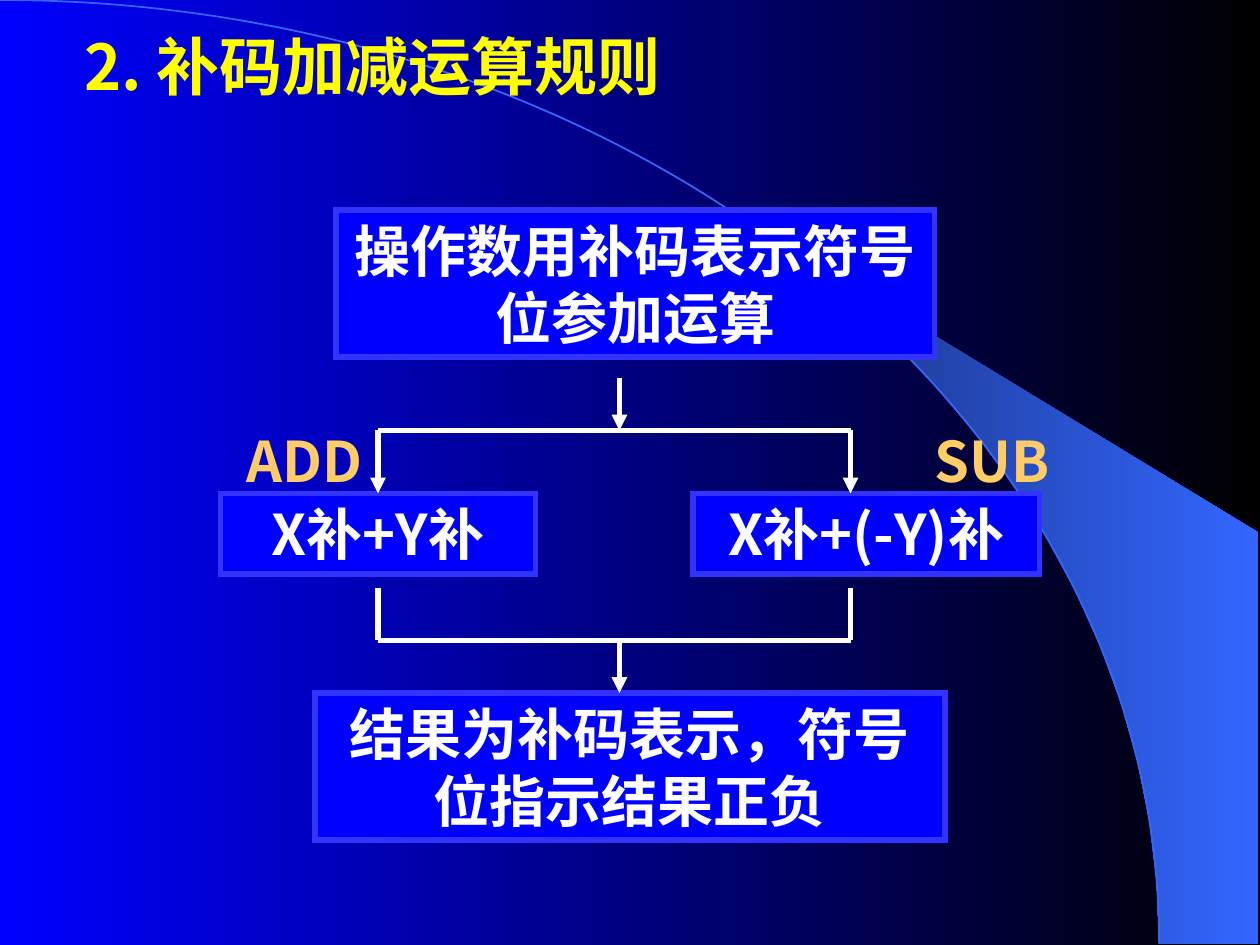
from pptx import Presentation
from pptx.dml.color import RGBColor
from pptx.enum.shapes import MSO_CONNECTOR as Connector, MSO_SHAPE as Shape
from pptx.enum.text import MSO_ANCHOR as Anchor, MSO_AUTO_SIZE as AutoSize, PP_ALIGN as Align
from pptx.oxml.ns import qn
from pptx.util import Pt
from lxml.etree import SubElement

FONT = "Noto Sans CJK SC"
WIDTH, HEIGHT = 720, 540


def color(value):
    return RGBColor.from_string(value)


def set_gradient(fill, start, end):
    fill.gradient()
    fill.gradient_angle = 0
    for stop, value in zip(fill.gradient_stops, (start, end)):
        stop.color.rgb = color(value)


def write_text(shape, text, size, text_color):
    frame = shape.text_frame
    frame.word_wrap = True
    frame.auto_size = AutoSize.SHAPE_TO_FIT_TEXT
    frame.vertical_anchor = Anchor.TOP
    paragraph = frame.paragraphs[0]
    paragraph.text = text
    paragraph.alignment = Align.CENTER
    font = paragraph.font
    font.name, font.size, font.bold = FONT, Pt(size), True
    font.color.rgb = color(text_color)
    # East Asian typeface follows the Latin one
    SubElement(paragraph._p.pPr.find(qn("a:defRPr")), qn("a:ea"), typeface=FONT)


def add_label(slide, box, text, size, text_color):
    label = slide.shapes.add_textbox(*map(Pt, box))
    write_text(label, text, size, text_color)


def add_step(slide, box, text):
    step = slide.shapes.add_shape(Shape.RECTANGLE, *map(Pt, box))
    step.shadow.inherit = False
    step.fill.solid()
    step.fill.fore_color.rgb = color("0000FF")
    step.line.color.rgb = color("3333FF")
    step.line.width = Pt(3)
    # Square corners
    SubElement(step._element.spPr.find(qn("a:ln")), qn("a:miter"), lim="800000")
    write_text(step, text, 32, "FFFFFF")


def add_line(slide, start, end, arrow=False):
    line = slide.shapes.add_connector(Connector.STRAIGHT, *map(Pt, start + end))
    line.line.color.rgb = color("FFFFFF")
    line.line.width = Pt(3)
    properties = line._element.spPr
    if arrow:
        SubElement(properties.find(qn("a:ln")), qn("a:tailEnd"), type="triangle")
    SubElement(properties, qn("a:effectLst"))


def add_outline(slide, points, close):
    points = [(Pt(x), Pt(y)) for x, y in points]
    builder = slide.shapes.build_freeform(*points[0])
    builder.add_line_segments(points[1:], close=close)
    outline = builder.convert_to_shape()
    outline.shadow.inherit = False
    return outline


def add_backdrop(slide, box):
    left, top, width, height = box
    right, bottom = left + width - 0.7, top + height - 0.7
    set_gradient(slide.background.fill, "0000FF", "000000")

    # Cubic curve from the top left corner to the bottom edge
    arc_width, arc_height = 662.4, bottom - top
    controls = [(365.8, 0), (arc_width, 241.2), (arc_width, arc_height)]

    def arc_point(t):
        weights = (3 * t * (1 - t) ** 2, 3 * t**2 * (1 - t), t**3)
        x, y = (sum(w * c for w, c in zip(weights, axis)) for axis in zip(*controls))
        return left + x, top + y

    # Wedge to the right of the arc
    edge = [arc_point(0.44 + 0.04 * step) for step in range(15)]
    wedge = add_outline(slide, edge + [(right, bottom), (right, top + 304.5)], True)
    set_gradient(wedge.fill, "182F76", "3366FF")
    wedge.line.fill.background()

    # Thin arc line: the straight segment becomes a curve
    curve = add_outline(slide, [(left, top), arc_point(1)], False)
    segment = next(curve._element.iter(qn("a:lnTo")))
    segment.tag = qn("a:cubicBezTo")
    segment.remove(segment[0])
    for x, y in controls:
        SubElement(segment, qn("a:pt"), x=str(Pt(x)), y=str(Pt(y)))
    curve.fill.background()
    curve.line.color.rgb = color("3366FF")
    curve.line.width = Pt(1)


def add_flowchart(slide, box):
    left, top, width, height = box
    add_x, sub_x, center_x = left + 102, left + 372, left + 240
    split_y, merge_y = top + 126, top + 246
    branch_y, result_y = top + 162, top + 276

    # Steps
    add_step(slide, (left + 78, top, 342, 84), "操作数用补码表示符号位参加运算")
    add_step(slide, (left + 66, result_y, 360, 84), "结果为补码表示，符号位指示结果正负")
    add_step(slide, (left + 12, branch_y, 180, 46), "X补+Y补")
    add_step(slide, (left + 282, branch_y, 198, 46), "X补+(-Y)补")

    # Split and merge lines
    for y in (split_y, merge_y):
        add_line(slide, (add_x, y), (sub_x, y))
    add_line(slide, (center_x, top + 96), (center_x, split_y), arrow=True)
    for x in (add_x, sub_x):
        add_line(slide, (x, split_y), (x, branch_y), arrow=True)
    for x in (add_x, sub_x):
        add_line(slide, (x, top + 216), (x, merge_y))
    add_line(slide, (center_x, merge_y), (center_x, result_y), arrow=True)

    # Branch names
    label_y = top + 120
    add_label(slide, (left, label_y, 120, 46), "ADD", 32, "FFCC66")
    add_label(slide, (left + width - 114, label_y, 114, 46), "SUB", 32, "FFCC66")


def main():
    presentation = Presentation()
    presentation.slide_width, presentation.slide_height = Pt(WIDTH), Pt(HEIGHT)
    slide = presentation.slides.add_slide(presentation.slide_layouts[6])
    add_backdrop(slide, (0, 0, WIDTH, HEIGHT))
    add_label(slide, (0, 12, 426, 50.4), "2. 补码加减运算规则", 36, "FFFF00")
    add_flowchart(slide, (114, 120, 510, 360))
    presentation.save("out.pptx")


if __name__ == "__main__":
    main()
